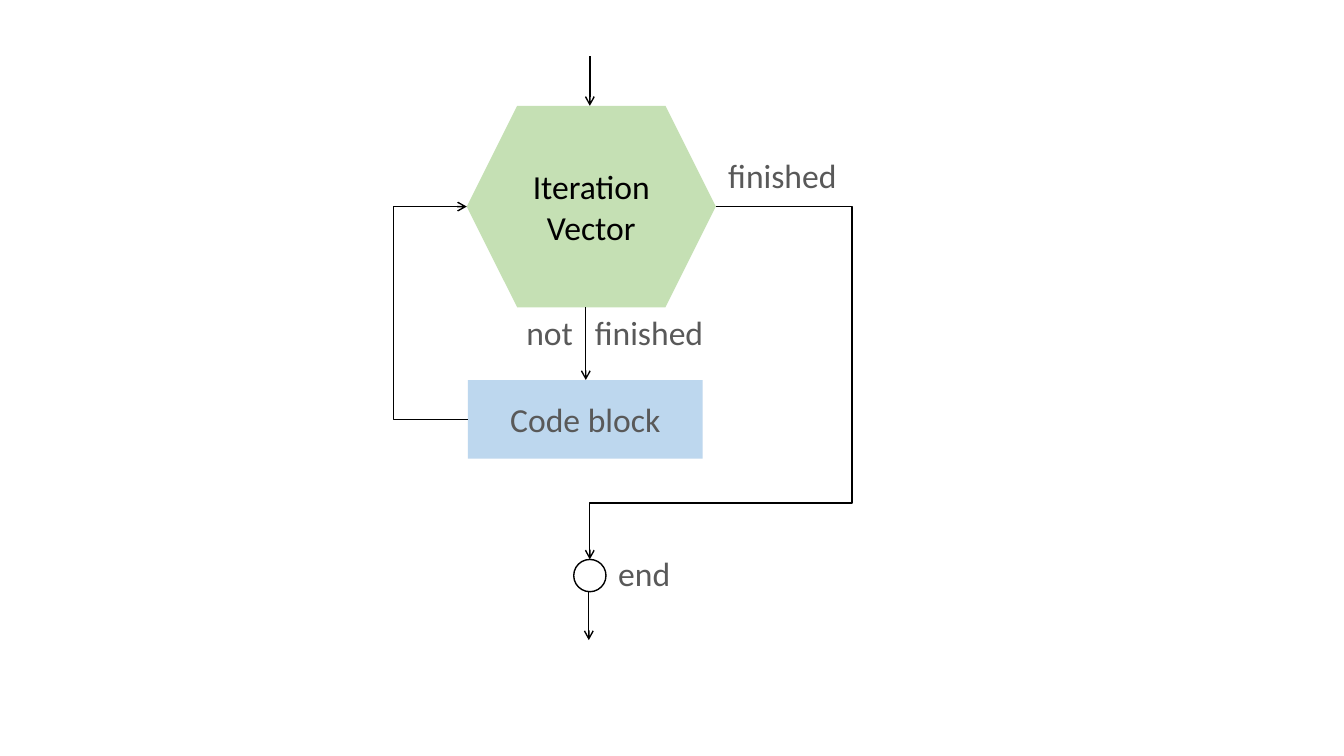
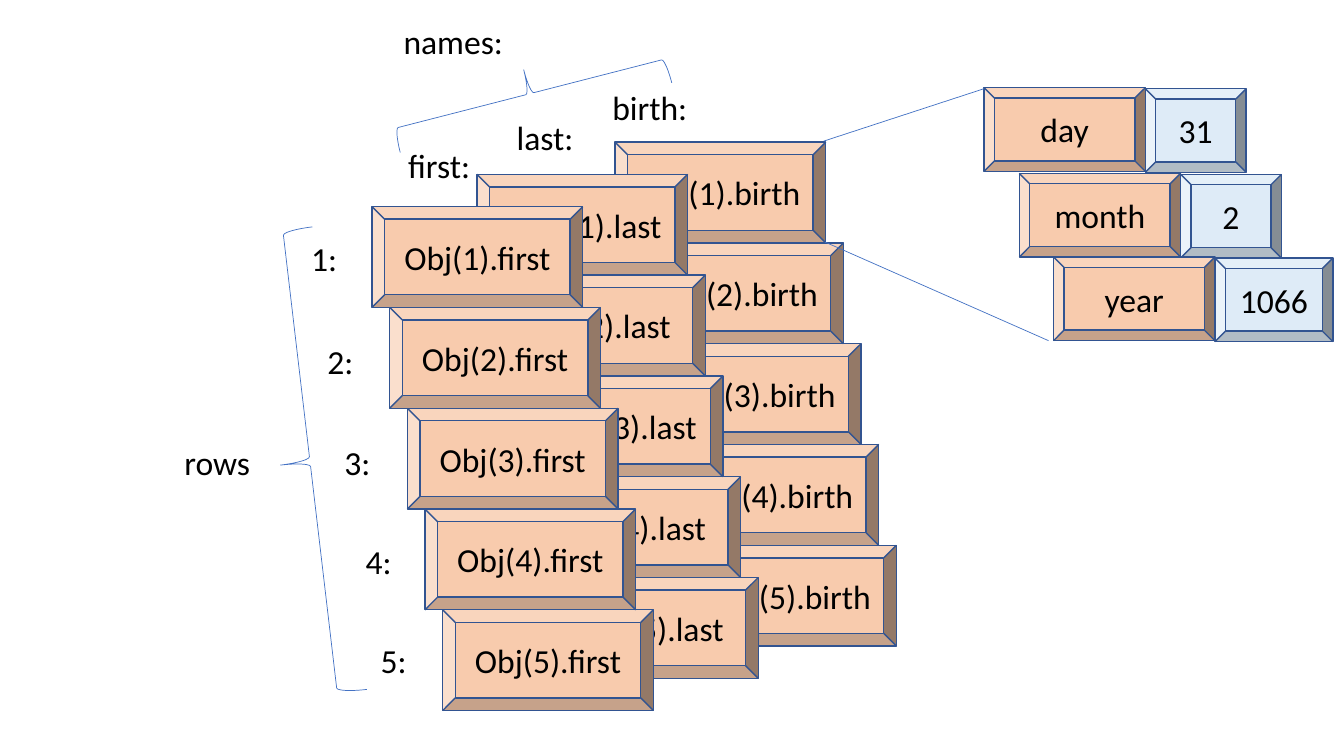
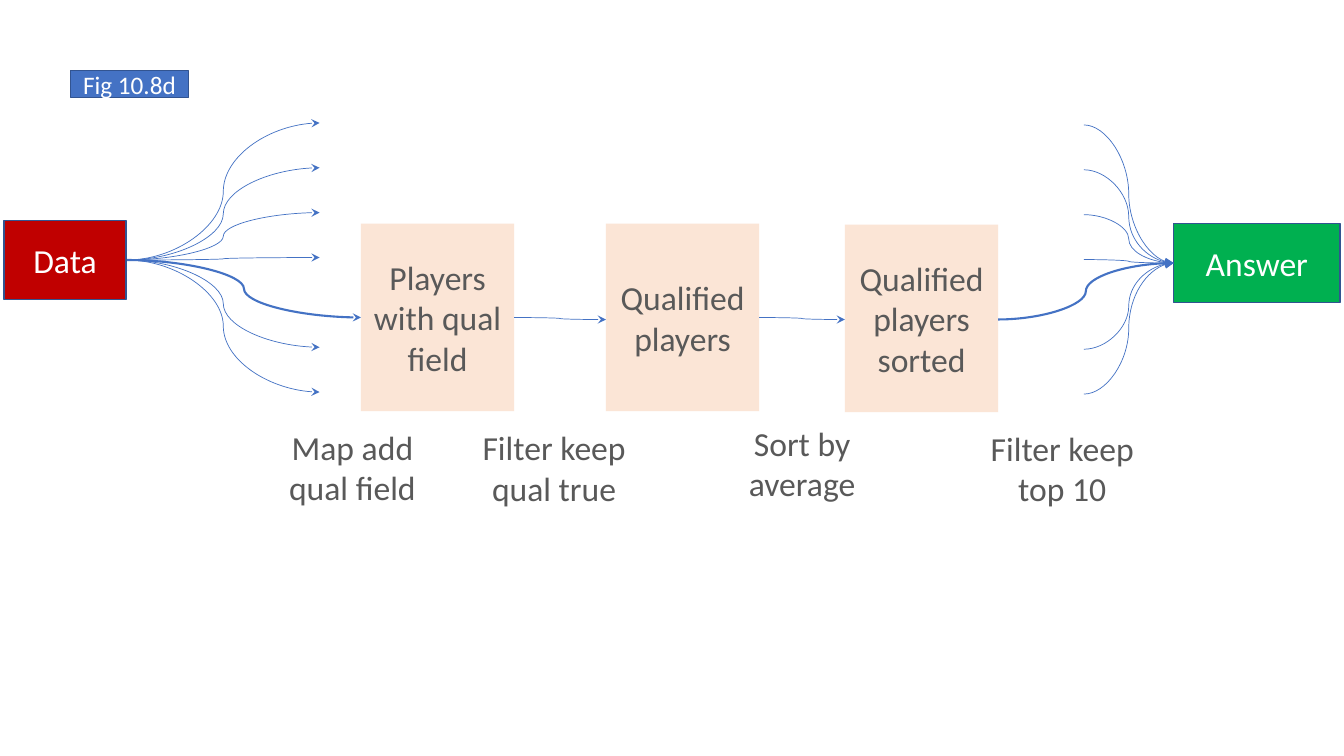
"""Build three diagram slides: an iteration loop, an object table and a data pipeline."""

from dataclasses import dataclass

from lxml.etree import SubElement
from pptx import Presentation
from pptx.dml.color import RGBColor
from pptx.enum.shapes import MSO_CONNECTOR, MSO_SHAPE
from pptx.enum.text import MSO_ANCHOR, PP_ALIGN
from pptx.oxml.ns import qn
from pptx.util import Inches, Pt


@dataclass(frozen=True)
class Theme:
    font: str = "Calibri"
    body: float = 24
    small: float = 18
    hairline: float = 0.5
    outline: float = 1
    bold_line: float = 1.5
    black: str = "000000"
    white: str = "FFFFFF"
    grey: str = "595959"
    blue: str = "4472C4"
    dark_blue: str = "325491"
    light_blue: str = "BDD7EE"
    pale_blue: str = "DEEBF7"
    light_green: str = "C5E0B4"
    green: str = "00B050"
    red: str = "C00000"
    orange: str = "F8CBAD"
    pale_orange: str = "FBE5D6"


THEME = Theme()

LOOP_LABELS = [
    ("finished", (7.1, 1.35, 1.32, 0.78)),
    ("end", (5.91, 5.29, 0.96, 0.78)),
]
LOOP_ARROWS = [
    ((5.85, 0.56), (5.85, 1.05)),
    ((5.81, 3.05), (5.81, 3.77)),
    ((5.84, 5.86), (5.84, 6.35)),
]

ROW_COUNT = 5
OBJECT_COLUMNS = [
    ("birth", 6.1, 1.41),
    ("last", 4.73, 1.73),
    ("first", 3.69, 2.05),
]
UNDERSCORED = {("last", 1), ("last", 3)}
TABLE_LABELS = [
    ("rows", (1.66, 4.24, 0.99, 0.68)),
    ("1:", (2.72, 2.22, 0.99, 0.68)),
    ("2:", (2.88, 3.24, 0.99, 0.68)),
    ("3:", (3.05, 4.24, 0.99, 0.68)),
    ("4:", (3.26, 5.23, 0.99, 0.68)),
    ("5:", (3.41, 6.21, 0.99, 0.68)),
    ("names:", (3.9, 0.07, 1.19, 0.68)),
    ("first:", (3.86, 1.3, 0.99, 0.68)),
    ("last:", (4.91, 1.02, 0.99, 0.68)),
    ("birth:", (5.95, 0.72, 0.99, 0.68)),
]
BRACES = [
    ((2.78, 2.27, 0.59, 4.62), 353.3),
    ((5.01, -0.46, 0.49, 2.78), 75.6),
]
DATE_FIELDS = [
    ("day", "31", 9.76, 0.87, 1),
    ("month", "2", 10.11, 1.72, 1),
    ("year", "1066", 10.45, 2.55, 1.17),
]
ZOOM_LINES = [((8.17, 1.4), (9.76, 0.88)), ((8.18, 2.4), (10.4, 3.38))]

STAGES = [
    ("Players with qual field", 3.58, 2.22),
    ("Qualified players", 6.01, 2.22),
    ("Qualified players sorted", 8.38, 2.23),
]
STAGE_WIDTH, STAGE_HEIGHT = 1.52, 1.86
STEP_LABELS = [
    ("Map add qual field", (2.67, 4.27, 1.65, 0.73)),
    ("Filter keep qual true", (4.67, 4.27, 1.65, 0.74)),
    ("Sort by average", (7.29, 4.17, 1.33, 0.85)),
    ("Filter keep top 10", (9.71, 4.3, 1.65, 0.69)),
]
BRANCH_COUNT, BRANCH_STEP, MAIN_BRANCH = 7, 0.445, 4


def color(value):
    return RGBColor.from_string(value)


def write_text(shape, text, text_color, size=THEME.body):
    frame = shape.text_frame
    frame.word_wrap = True
    frame.vertical_anchor = MSO_ANCHOR.MIDDLE
    frame.text = text
    paragraph = frame.paragraphs[0]
    paragraph.alignment = PP_ALIGN.CENTER
    for run in paragraph.runs:
        run.font.name = THEME.font
        run.font.size = Pt(size)
        run.font.color.rgb = color(text_color)


def add_box(slide, kind, box, fill=None, line=None, width=THEME.outline):
    shape = slide.shapes.add_shape(kind, *map(Inches, box))
    shape.shadow.inherit = False
    if fill:
        shape.fill.solid()
        shape.fill.fore_color.rgb = color(fill)
    else:
        shape.fill.background()
    if line:
        shape.line.color.rgb = color(line)
        shape.line.width = Pt(width)
    else:
        shape.line.fill.background()
    return shape


def add_label(slide, text, box, text_color):
    label = slide.shapes.add_textbox(*map(Inches, box))
    write_text(label, text, text_color)
    return label


def add_line(slide, start, end, line_color, width, kind=MSO_CONNECTOR.STRAIGHT, head=None, tail=None):
    connector = slide.shapes.add_connector(kind, *map(Inches, (*start, *end)))
    connector.line.color.rgb = color(line_color)
    connector.line.width = Pt(width)
    properties = connector._element.spPr
    outline = properties.find(qn("a:ln"))
    for tag, arrow in (("a:headEnd", head), ("a:tailEnd", tail)):
        if arrow:
            SubElement(outline, qn(tag), type=arrow)
    SubElement(properties, qn("a:effectLst"))
    return connector


def add_elbow(slide, start, end, turn_x, turn_y=None):
    connector = add_line(slide, start, end, THEME.black, THEME.outline, MSO_CONNECTOR.ELBOW, tail="arrow")
    ratios = [(turn_x - start[0]) / (end[0] - start[0])]
    if turn_y is not None:
        ratios.append((turn_y - start[1]) / (end[1] - start[1]))
    geometry = connector._element.spPr.find(qn("a:prstGeom"))
    geometry.set("prst", f"bentConnector{len(ratios) + 2}")
    guides = geometry.find(qn("a:avLst"))
    for number, ratio in enumerate(ratios, 1):
        SubElement(guides, qn("a:gd"), name=f"adj{number}", fmla=f"val {round(ratio * 100000)}")


def add_curve(slide, start, end, width=THEME.hairline, **arrows):
    add_line(slide, start, end, THEME.blue, width, MSO_CONNECTOR.CURVE, **arrows)


def add_split_label(slide, text, box, left_inset, tab_position):
    label = add_label(slide, text, box, THEME.grey)
    label.text_frame.margin_left = Inches(left_inset)
    paragraph = label.text_frame.paragraphs[0]
    paragraph.alignment = PP_ALIGN.LEFT
    tabs = SubElement(paragraph._p.get_or_add_pPr(), qn("a:tabLst"))
    SubElement(tabs, qn("a:tab"), pos=str(Inches(tab_position)), algn="l")


def build_loop(slide):
    hexagon = add_box(slide, MSO_SHAPE.HEXAGON, (4.63, 1.05, 2.47, 2), THEME.light_green)
    write_text(hexagon, "Iteration Vector", THEME.black)
    code_block = add_box(slide, MSO_SHAPE.RECTANGLE, (4.64, 3.77, 2.33, 0.78), THEME.light_blue)
    write_text(code_block, "Code block", THEME.grey)
    add_box(slide, MSO_SHAPE.OVAL, (5.69, 5.55, 0.32, 0.32), THEME.white, THEME.black)
    for text, box in LOOP_LABELS:
        add_label(slide, text, box, THEME.grey)
    add_split_label(slide, "not\tfinished", (4.94, 2.9, 2.31, 0.78), 0.28, 0.68)
    for start, end in LOOP_ARROWS:
        add_line(slide, start, end, THEME.black, THEME.outline, tail="arrow")
    add_elbow(slide, (7.1, 2.05), (5.85, 5.55), 8.45, 4.99)
    add_elbow(slide, (4.64, 4.16), (4.63, 2.05), 3.89)


def add_bevel(slide, text, box, fill):
    bevel = add_box(slide, MSO_SHAPE.BEVEL, box, fill, THEME.dark_blue)
    write_text(bevel, text, THEME.black)


def build_object_table(slide):
    for field, left, top in OBJECT_COLUMNS:
        for row in range(ROW_COUNT, 0, -1):
            name = "Obj_" if (field, row) in UNDERSCORED else "Obj"
            box = (left + 0.175 * (row - 1), top + row - 1, 2.09, 1)
            add_bevel(slide, f"{name}({row}).{field}", box, THEME.orange)
    for text, box in TABLE_LABELS:
        add_label(slide, text, box, THEME.black)
    for box, rotation in BRACES:
        brace = add_box(slide, MSO_SHAPE.LEFT_BRACE, box, line=THEME.blue, width=THEME.hairline)
        brace.rotation = rotation
    for field, value, left, top, value_width in DATE_FIELDS:
        add_bevel(slide, field, (left, top, 1.6, 0.83), THEME.orange)
        add_bevel(slide, value, (left + 1.6, top + 0.01, value_width, 0.83), THEME.pale_blue)
    for start, end in ZOOM_LINES:
        add_line(slide, start, end, THEME.blue, THEME.hairline)


def build_pipeline(slide):
    for text, box, fill, size in [
        ("Answer", (11.64, 2.22, 1.65, 0.78), THEME.green, THEME.body),
        ("Data", (0.04, 2.19, 1.21, 0.78), THEME.red, THEME.body),
        ("Fig 10.8d", (0.7, 0.7, 1.17, 0.27), THEME.blue, THEME.small),
    ]:
        shape = add_box(slide, MSO_SHAPE.RECTANGLE, box, fill, THEME.dark_blue)
        write_text(shape, text, THEME.white, size)
    for text, left, top in STAGES:
        stage = add_box(slide, MSO_SHAPE.RECTANGLE, (left, top, STAGE_WIDTH, STAGE_HEIGHT), THEME.pale_orange)
        write_text(stage, text, THEME.grey)

    data_exit, answer_entry = (1.26, 2.58), (11.64, 2.61)
    for branch in range(BRANCH_COUNT):
        offset = BRANCH_STEP * branch
        if branch == MAIN_BRANCH:
            add_curve(slide, data_exit, (3.58, 3.15), THEME.bold_line, tail="stealth")
            add_curve(slide, answer_entry, (9.9, 3.17), THEME.bold_line, head="triangle")
        else:
            add_curve(slide, data_exit, (3.17, 1.22 + offset), tail="stealth")
            add_curve(slide, answer_entry, (10.75, 1.24 + offset), head="triangle" if branch else None)
    for (_, left, _), (_, next_left, _) in zip(STAGES, STAGES[1:]):
        add_curve(slide, (left + STAGE_WIDTH, 3.15), (next_left, 3.17), tail="stealth")
    for text, box in STEP_LABELS:
        add_label(slide, text, box, THEME.grey)


def main():
    presentation = Presentation()
    presentation.slide_width, presentation.slide_height = Inches(13.33), Inches(7.5)
    blank_layout = presentation.slide_layouts[6]
    for build in (build_loop, build_object_table, build_pipeline):
        build(presentation.slides.add_slide(blank_layout))
    presentation.save("out.pptx")


if __name__ == "__main__":
    main()
